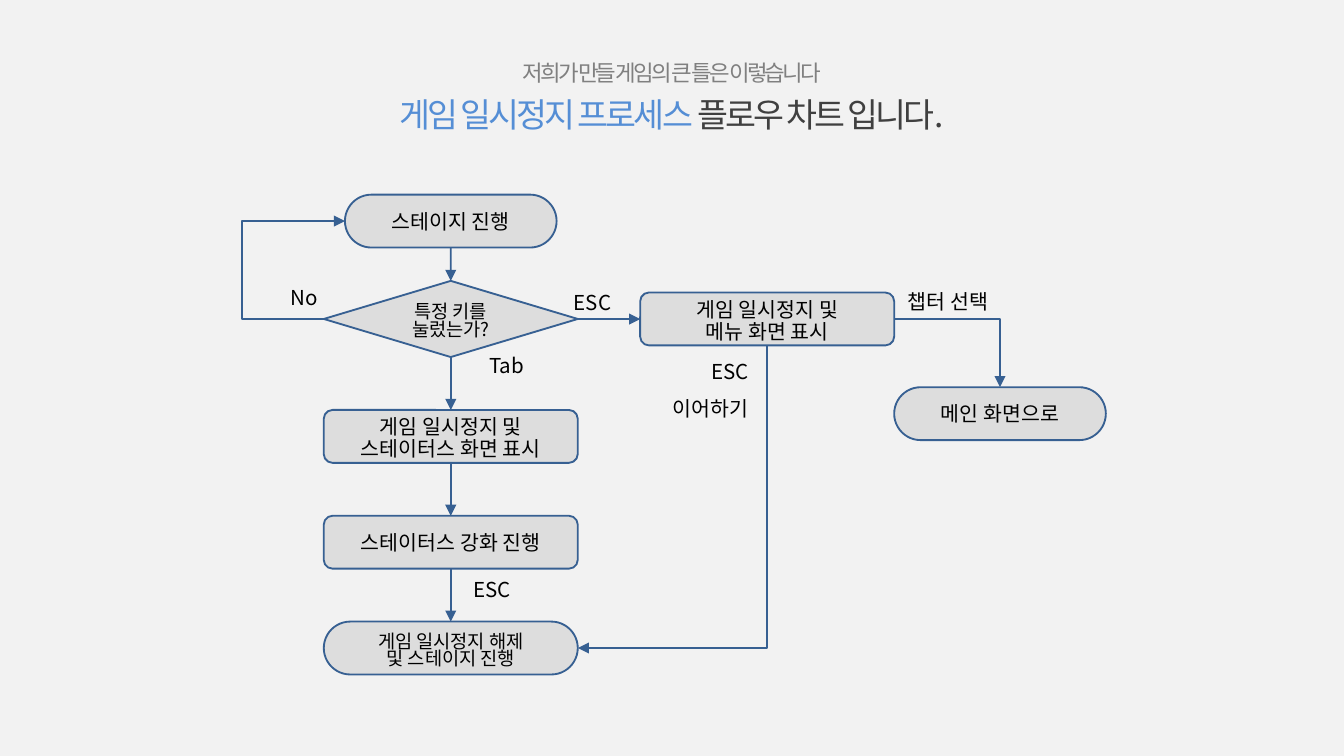
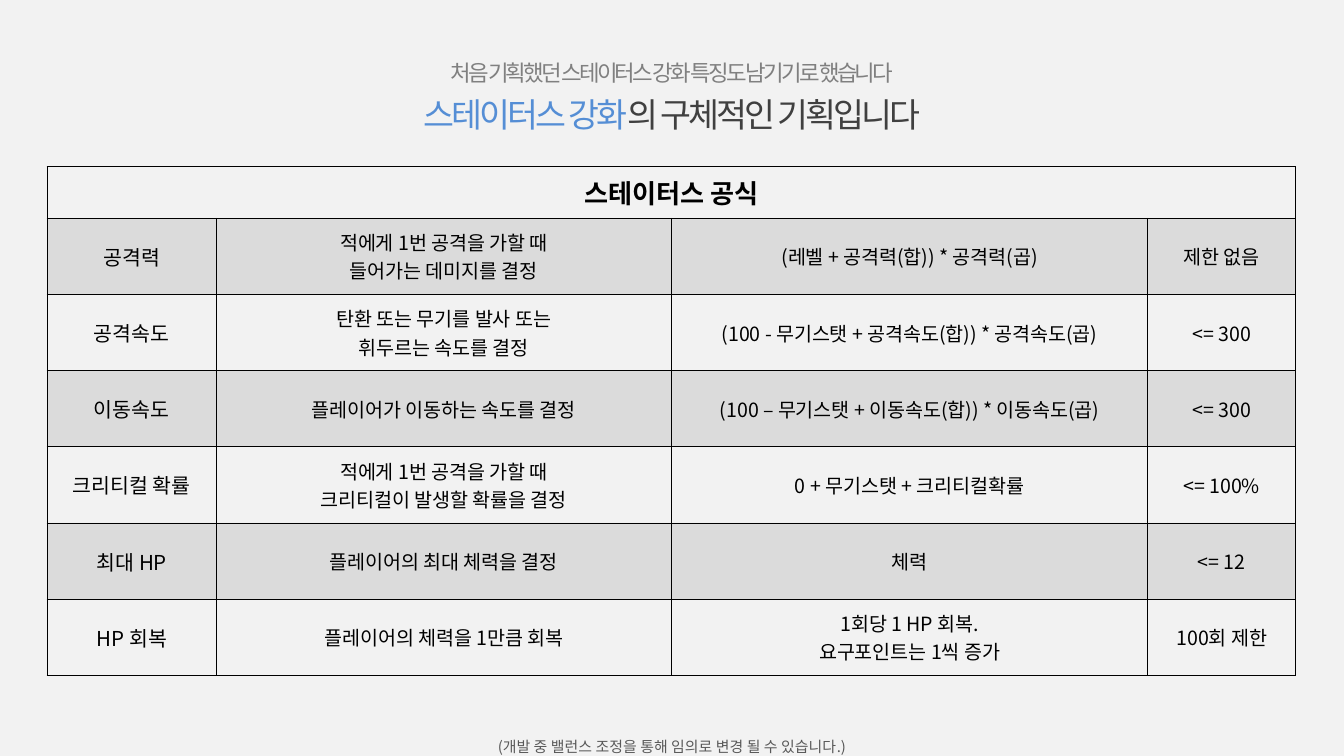
"""Builds two slides on a game: a pause flow chart and a table of status formulas."""
import pptx
import pptx.dml.color
import pptx.enum.shapes
import pptx.enum.text
import pptx.oxml
import pptx.oxml.ns
import pptx.util
from pptx.util import Cm, Pt

FONT = "Noto Sans CJK KR"
COLORS = {
    "background": "F2F2F2",
    "subtitle": "808080",
    "accent": "558ED5",
    "title": "404040",
    "text": "000000",
    "note": "595959",
    "node": "BFBFBF",
    "line": "376092",
    "band": "808080",
}
SHAPES = pptx.enum.shapes.MSO_SHAPE
ALIGN = pptx.enum.text.PP_ALIGN
ANCHOR = pptx.enum.text.MSO_ANCHOR
AUTO_SIZE = pptx.enum.text.MSO_AUTO_SIZE
TOP, LEFT, BOTTOM, RIGHT = range(4)

COLUMN_CENTER = 8.52
DECISION_MIDDLE = 6.03
NODE_WIDTH = 4.8
PILL_WIDTH = 4
NODE_HEIGHT = 1
STEP = 2
STATUS_TOP = 7.75

TABLE_TITLE = "스테이터스 공식"
COLUMN_WIDTHS = (3.2, 8.6, 9, 2.8)
HEADER_HEIGHT, ROW_HEIGHT = 0.97, 1.44
STATUS_ROWS = [
    ("공격력", "적에게 1번 공격을 가할 때\n들어가는 데미지를 결정",
     "(레벨 + 공격력(합)) * 공격력(곱)", "제한 없음"),
    ("공격속도", "탄환 또는 무기를 발사 또는\n휘두르는 속도를 결정",
     "(100 - 무기스탯 + 공격속도(합)) * 공격속도(곱)", "<= 300"),
    ("이동속도", "플레이어가 이동하는 속도를 결정",
     "(100 – 무기스탯 + 이동속도(합)) * 이동속도(곱)", "<= 300"),
    ("크리티컬 확률", "적에게 1번 공격을 가할 때\n크리티컬이 발생할 확률을 결정",
     "0 + 무기스탯 + 크리티컬확률", "<= 100%"),
    ("최대 HP", "플레이어의 최대 체력을 결정", "체력", "<= 12"),
    ("HP 회복", "플레이어의 체력을 1만큼 회복",
     "1회당 1 HP 회복.\n요구포인트는 1씩 증가", "100회 제한"),
]


def color(name):
    """Return the named colour."""
    return pptx.dml.color.RGBColor.from_string(COLORS[name])


def add_child(parent, tag, **attributes):
    """Append a DrawingML element to a parent and return it."""
    child = pptx.oxml.parse_xml(f"<{tag} {pptx.oxml.ns.nsdecls('a')}/>")
    for key, value in attributes.items():
        child.set(key, str(value))
    parent.append(child)
    return child


def style_font(font, properties, size, color_name, bold=False):
    """Set the face, size and colour of a font for all scripts."""
    font.size = Pt(size)
    font.bold = bold
    font.color.rgb = color(color_name)
    font.name = FONT
    add_child(properties, "a:ea", typeface=FONT)


def write_text(frame, text, size=11, color_name="text", align=ALIGN.CENTER,
               spacing=None, bold=False):
    """Write one paragraph per line of text."""
    frame.text = text
    for paragraph in frame.paragraphs:
        paragraph.alignment = align
        paragraph.line_spacing = spacing
        font = paragraph.font
        properties = paragraph._p.pPr.find(pptx.oxml.ns.qn("a:defRPr"))
        style_font(font, properties, size, color_name, bold)


def fill_translucent(fill, color_name, percent):
    """Fill with a colour of the given opacity."""
    fill.solid()
    fill.fore_color.rgb = color(color_name)
    shade = fill._xPr.find(pptx.oxml.ns.qn("a:solidFill"))[0]
    add_child(shade, "a:alpha", val=percent * 1000)


def add_titled_slide(deck, subtitle, accent, rest):
    """Add a slide with a small line above a two-coloured title."""
    page = deck.slides.add_slide(deck.slide_layouts[5])
    title = page.shapes.title
    title.left, title.top, title.width, title.height = Cm(1.27), Cm(0.58), Cm(22.86), Cm(2.39)
    title.text_frame.vertical_anchor = ANCHOR.MIDDLE
    title.text_frame.auto_size = AUTO_SIZE.NONE
    paragraph = title.text_frame.paragraphs[0]
    paragraph.alignment = ALIGN.CENTER
    paragraph.line_spacing = 1.2
    for text, size, color_name in ((subtitle, 12, "subtitle"), (accent, 18, "accent"),
                                   (rest, 18, "title")):
        span = paragraph.add_run()
        span.text = text
        properties = span._r.get_or_add_rPr()
        properties.set("spc", "-150")
        style_font(span.font, properties, size, color_name)
        if text == subtitle:
            paragraph.add_line_break()
    return page


def add_node(page, kind, text, left, top, width=NODE_WIDTH, height=NODE_HEIGHT):
    """Add a flow chart node."""
    node = page.shapes.add_shape(kind, Cm(left), Cm(top), Cm(width), Cm(height))
    if kind == SHAPES.ROUNDED_RECTANGLE:
        node.adjustments[0] = 0.5
    node.shadow.inherit = False
    fill_translucent(node.fill, "node", 40)
    node.line.color.rgb = color("line")
    node.line.width = Pt(1)
    frame = node.text_frame
    frame.margin_left = frame.margin_right = frame.margin_top = frame.margin_bottom = 0
    frame.vertical_anchor = ANCHOR.MIDDLE
    frame.word_wrap = True
    frame.auto_size = AUTO_SIZE.TEXT_TO_FIT_SHAPE
    write_text(frame, text)
    return node


def add_label(page, text, left, top, width, height=0.86, **style):
    """Add a free-standing text box."""
    box = page.shapes.add_textbox(Cm(left), Cm(top), Cm(width), Cm(height))
    box.text_frame.word_wrap = True
    box.text_frame.auto_size = AUTO_SIZE.SHAPE_TO_FIT_TEXT
    write_text(box.text_frame, text, spacing=1.5, **style)


def add_arrow(page, source, source_side, target, target_side, preset="line"):
    """Join two nodes with an arrow."""
    kinds = pptx.enum.shapes.MSO_CONNECTOR
    kind = kinds.STRAIGHT if preset == "line" else kinds.ELBOW
    arrow = page.shapes.add_connector(kind, 0, 0, 0, 0)
    arrow.begin_connect(source, source_side)
    arrow.end_connect(target, target_side)
    arrow.line.color.rgb = color("line")
    arrow.line.width = Pt(1)
    add_child(arrow.line._get_or_add_ln(), "a:tailEnd", type="triangle")
    properties = arrow._element.spPr
    add_child(properties, "a:effectLst")
    properties.find(pptx.oxml.ns.qn("a:prstGeom")).set("prst", preset)
    return arrow


def set_bend(arrow, ratio):
    """Place the bend of an elbow arrow, as a share of its width."""
    geometry = arrow._element.spPr.find(pptx.oxml.ns.qn("a:prstGeom"))
    for child in list(geometry):
        geometry.remove(child)
    guides = add_child(geometry, "a:avLst")
    add_child(guides, "a:gd", name="adj1", fmla=f"val {round(ratio * 100000)}")


def turn_downward(arrow):
    """Make an elbow arrow go down first and then left."""
    left, top, width, height = arrow.left, arrow.top, arrow.width, arrow.height
    arrow.left = left + (width - height) // 2
    arrow.top = top + (height - width) // 2
    arrow.width, arrow.height = height, width
    frame = arrow._element.spPr.find(pptx.oxml.ns.qn("a:xfrm"))
    frame.attrib.pop("flipH", None)
    frame.set("rot", str(90 * 60000))


def build_flow_chart(deck):
    """Build the slide with the pause flow chart."""
    page = add_titled_slide(deck, "저희가 만들 게임의 큰 틀은 이렇습니다",
                            "게임 일시정지 프로세스 ", "플로우 차트 입니다.")
    pill, process = SHAPES.ROUNDED_RECTANGLE, SHAPES.FLOWCHART_ALTERNATE_PROCESS
    column_left = COLUMN_CENTER - NODE_WIDTH / 2
    menu_left = 12.1
    stage = add_node(page, pill, "스테이지 진행", COLUMN_CENTER - PILL_WIDTH / 2, 3.68, PILL_WIDTH)
    decision = add_node(page, SHAPES.FLOWCHART_DECISION, "특정 키를\n눌렀는가?",
                        column_left, DECISION_MIDDLE - 0.72, height=1.44)
    menu = add_node(page, process, "게임 일시정지 및\n메뉴 화면 표시",
                    menu_left, DECISION_MIDDLE - NODE_HEIGHT / 2)
    main_screen = add_node(page, pill, "메인 화면으로", menu_left + NODE_WIDTH, 7.32, PILL_WIDTH)
    status, upgrade, resume = [
        add_node(page, kind, text, column_left, STATUS_TOP + index * STEP)
        for index, (kind, text) in enumerate((
            (process, "게임 일시정지 및\n스테이터스 화면 표시"),
            (process, "스테이터스 강화 진행"),
            (pill, "게임 일시정지 해제\n및 스테이지 진행")))]

    column = (stage, decision, status, upgrade, resume)
    for upper, lower in zip(column, column[1:]):
        add_arrow(page, upper, BOTTOM, lower, TOP)
    add_arrow(page, decision, RIGHT, menu, LEFT)
    set_bend(add_arrow(page, decision, LEFT, stage, LEFT, "bentConnector3"), -3.88)
    add_arrow(page, menu, RIGHT, main_screen, TOP, "bentConnector2")
    turn_downward(add_arrow(page, menu, BOTTOM, resume, RIGHT, "bentConnector2"))

    for text, left, top, width in (("ESC", 10.41, 5.13, 1.58), ("No", 4.95, 5.03, 1.6),
                                   ("Tab", 8.79, 6.32, 1.58), ("챕터 선택", 16.51, 5.11, 2.82),
                                   ("ESC", 8.51, 10.54, 1.58)):
        add_label(page, text, left, top, width)
    add_label(page, "ESC\n이어하기", 11.58, 6.43, 2.82, 1.57, align=ALIGN.RIGHT)


def format_cell(cell, text, banded, header=False, size=10.5):
    """Write, border and fill one table cell."""
    properties = cell._tc.get_or_add_tcPr()
    for side in "LRTB":
        edge = add_child(properties, f"a:ln{side}", w=Pt(0.5))
        add_child(add_child(edge, "a:solidFill"), "a:srgbClr", val=COLORS["text"])
    if banded:
        fill_translucent(cell.fill, "band", 20)
    else:
        cell.fill.background()
    cell.vertical_anchor = ANCHOR.MIDDLE
    if not header:
        cell.margin_left = cell.margin_right = cell.margin_top = cell.margin_bottom = 0
    write_text(cell.text_frame, text, size, bold=header)


def build_status_table(deck):
    """Build the slide with the status formulas."""
    page = add_titled_slide(deck, "처음 기획했던 스테이터스 강화 특징도 남기기로 했습니다",
                            "스테이터스 강화", "의 구체적인 기획입니다")
    height = HEADER_HEIGHT + ROW_HEIGHT * len(STATUS_ROWS)
    table = page.shapes.add_table(len(STATUS_ROWS) + 1, len(COLUMN_WIDTHS), Cm(0.89), Cm(3.15),
                                  Cm(sum(COLUMN_WIDTHS)), Cm(height)).table
    table.first_row = table.horz_banding = False
    for column, width in zip(table.columns, COLUMN_WIDTHS):
        column.width = Cm(width)
    for index, row in enumerate(table.rows):
        row.height = Cm(ROW_HEIGHT if index else HEADER_HEIGHT)
    table.cell(0, 0).merge(table.cell(0, len(COLUMN_WIDTHS) - 1))
    for index in range(len(COLUMN_WIDTHS)):
        format_cell(table.cell(0, index), "" if index else TABLE_TITLE, False, True, 14)
    for row_index, texts in enumerate(STATUS_ROWS, 1):
        for index, text in enumerate(texts):
            format_cell(table.cell(row_index, index), text, row_index % 2 == 1,
                        size=10.5 if index else 11)
    add_label(page, "(개발 중 밸런스 조정을 통해 임의로 변경 될 수 있습니다.)",
              4.9, 13.64, 15.6, 0.71, size=8, color_name="note")


def main():
    """Build and save the deck."""
    deck = pptx.Presentation()
    deck.slide_width, deck.slide_height = Cm(25.4), Cm(14.29)
    background = deck.slide_master.background.fill
    background.solid()
    background.fore_color.rgb = color("background")
    build_flow_chart(deck)
    build_status_table(deck)
    deck.save("out.pptx")


if __name__ == "__main__":
    main()
